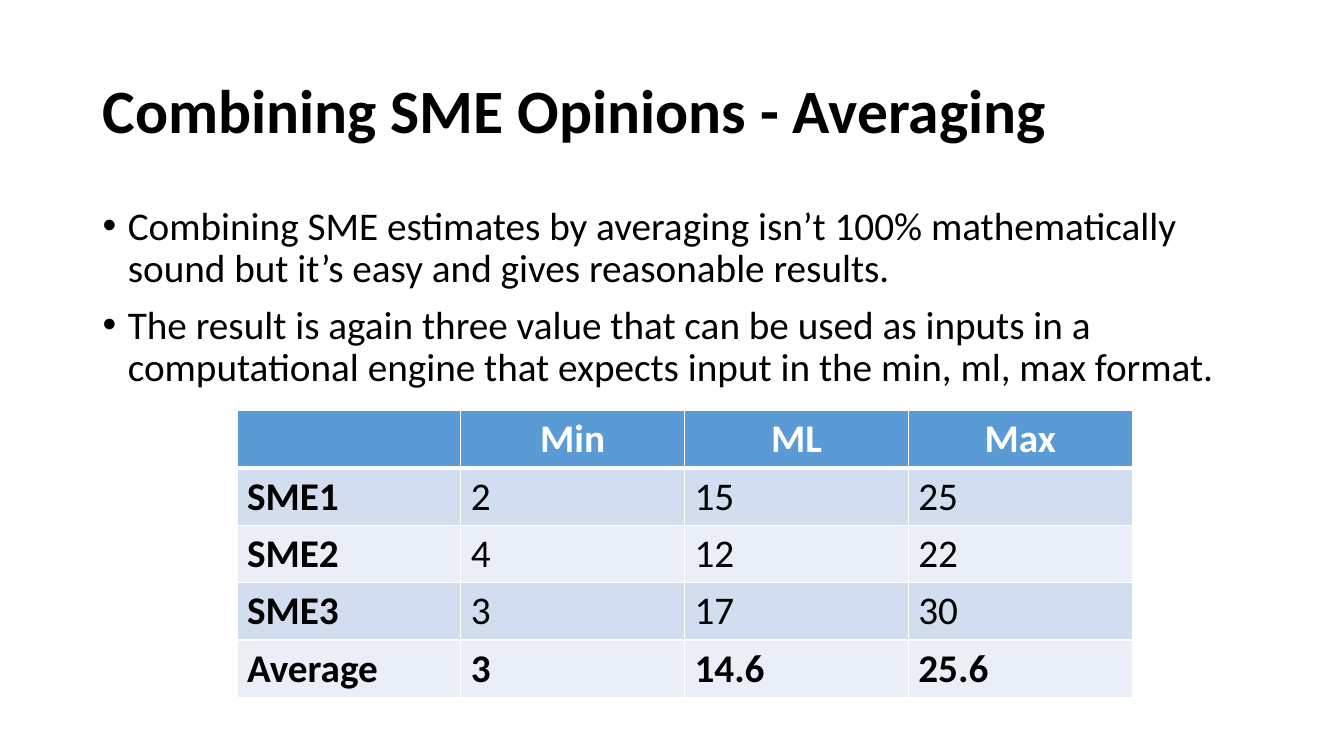
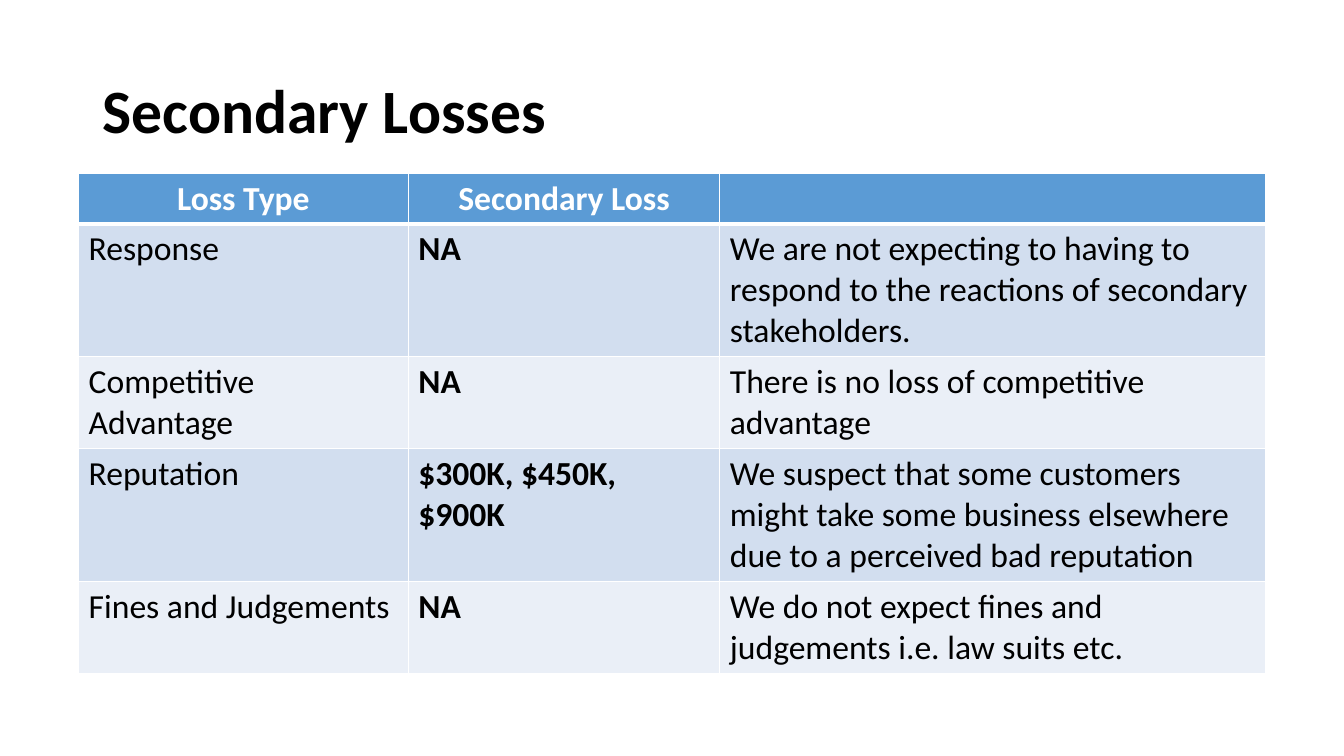
"""Build two slides on combining estimates and on secondary losses."""
from lxml.etree import SubElement as Sub
from pptx import Presentation
from pptx.dml.color import RGBColor
from pptx.enum.text import MSO_ANCHOR as Anchor, PP_ALIGN as Align
from pptx.oxml.ns import qn
from pptx.util import Inches, Pt

BLACK, WHITE, HEAD = "000000", "FFFFFF", "5B9BD5"
BANDS = ["EAEFF7", "D2DEEF"]
TITLE = (0.92, 0.4, 11.5, 1.45)
BODY = (0.92, 2, 11.5, 2.05)

SLIDES = [
    {
        "title": "Combining SME Opinions - Averaging",
        "points": [
            "Combining SME estimates by averaging isn’t 100% mathematically "
            "sound but it’s easy and gives reasonable results.",
            "The result is again three value that can be used as inputs in a "
            "computational engine that expects input in the min, ml, max format.",
        ],
        "at": (2.35, 4.07),
        "size": 28,
        "cols": [2.22] * 4,
        "rows": [0.57] * 5,
        "bold": lambda row, col: col == 0 or row == 4,
        "cells": [
            ("", "Min", "ML", "Max"),
            ("SME1", "2", "15", "25"),
            ("SME2", "4", "12", "22"),
            ("SME3", "3", "17", "30"),
            ("Average", "3", "14.6", "25.6"),
        ],
    },
    {
        "title": "Secondary Losses",
        "points": [],
        "at": (0.78, 1.72),
        "size": 24,
        "cols": [3.27, 3.09, 5.41],
        "rows": [0.5, 1.32, 0.91, 1.32, 0.91],
        "bold": lambda row, col: col == 1,
        "cells": [
            ("Loss Type", "Secondary Loss", ""),
            ("Response", "NA", "We are not expecting to having to respond "
             "to the reactions of secondary stakeholders."),
            ("Competitive Advantage", "NA",
             "There is no loss of competitive advantage"),
            ("Reputation", "$300K, $450K, $900K", "We suspect that some customers "
             "might take some business elsewhere due to a perceived bad reputation"),
            ("Fines and Judgements", "NA",
             "We do not expect fines and judgements i.e. law suits etc."),
        ],
    },
]


def rgb(code):
    """Turn a hex string into a colour."""
    return RGBColor.from_string(code)


def write(para, text, size, color=BLACK, bold=False):
    """Add one styled run to a paragraph."""
    run = para.add_run()
    run.text = text
    look = {"name": "Calibri", "size": Pt(size), "bold": bold}
    for key, value in look.items():
        setattr(run.font, key, value)
    run.font.color.rgb = rgb(color)


def add_text(slide, box, lines, size, bold=False, bullet=False):
    """Add a wrapped text box, with bullets if asked."""
    frame = slide.shapes.add_textbox(*map(Inches, box)).text_frame
    frame.word_wrap = True
    frame.vertical_anchor = Anchor.TOP if bullet else Anchor.MIDDLE
    for num, line in enumerate(lines):
        para = frame.add_paragraph() if num else frame.paragraphs[0]
        para.line_spacing = 0.9
        write(para, line, size, bold=bold)
        if bullet:
            para.space_before = Pt(10)
            props = para._p.get_or_add_pPr()
            props.set("marL", str(Inches(0.25)))
            props.set("indent", str(Inches(-0.25)))
            Sub(props, qn("a:buFont"), typeface="Arial")
            Sub(props, qn("a:buChar"), char="•")


def add_edges(cell, row):
    """Draw white cell borders, thick between the head and the body."""
    props = cell._tc.get_or_add_tcPr()
    thick = {("B", 0), ("T", 1)}
    for side in "LRTB":
        width = Pt(3 if (side, row) in thick else 1)
        line = Sub(props, qn(f"a:ln{side}"), w=str(width))
        fill = Sub(line, qn("a:solidFill"))
        Sub(fill, qn("a:srgbClr"), val=WHITE)


def add_grid(slide, data):
    """Add a banded table with a coloured head row."""
    cols, rows, size = data["cols"], data["rows"], data["size"]
    box = (*data["at"], sum(cols), sum(rows))
    grid = slide.shapes.add_table(len(rows), len(cols), *map(Inches, box)).table
    for col, width in zip(grid.columns, cols):
        col.width = Inches(width)
    for row, texts in enumerate(data["cells"]):
        grid.rows[row].height = Inches(rows[row])
        for col, text in enumerate(texts):
            cell = grid.cell(row, col)
            add_edges(cell, row)
            cell.fill.solid()
            cell.fill.fore_color.rgb = rgb(BANDS[row % 2] if row else HEAD)
            para = cell.text_frame.paragraphs[0]
            para.alignment = Align.LEFT if row else Align.CENTER
            if text:
                bold = row == 0 or data["bold"](row, col)
                write(para, text, size, BLACK if row else WHITE, bold)


def main():
    """Build and save the slides."""
    deck = Presentation()
    deck.slide_width, deck.slide_height = Inches(13.33), Inches(7.5)
    for data in SLIDES:
        slide = deck.slides.add_slide(deck.slide_layouts[6])
        add_text(slide, TITLE, [data["title"]], 44, bold=True)
        if data["points"]:
            add_text(slide, BODY, data["points"], 28, bullet=True)
        add_grid(slide, data)
    deck.save("out.pptx")


if __name__ == "__main__":
    main()
